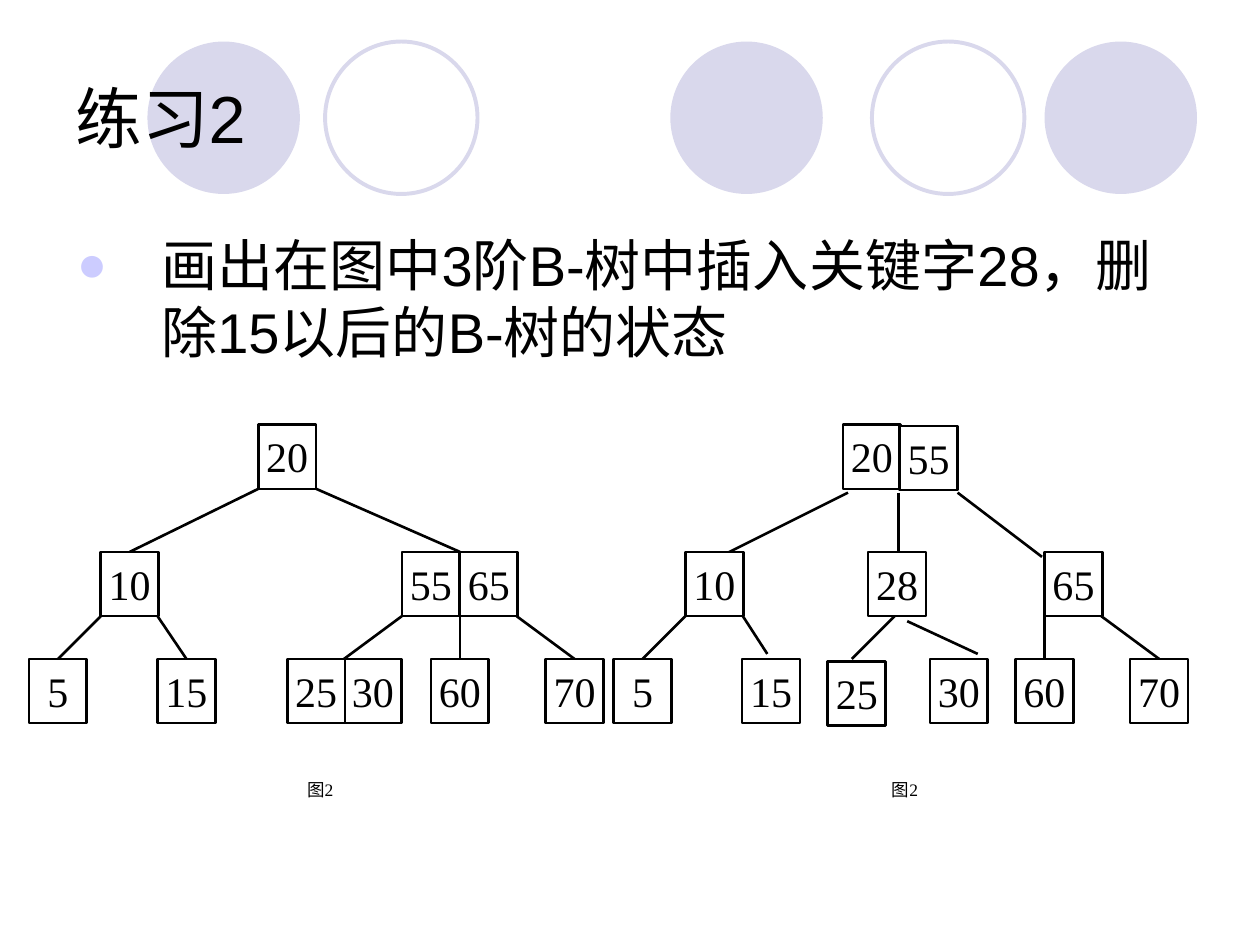
import dataclasses

import lxml.etree
import pptx
import pptx.dml.color
import pptx.enum.shapes
import pptx.enum.text
import pptx.oxml.ns
import pptx.util

Inches = pptx.util.Inches
ALIGN = pptx.enum.text.PP_ALIGN
ANCHOR = pptx.enum.text.MSO_ANCHOR
SHAPE = pptx.enum.shapes.MSO_SHAPE


@dataclasses.dataclass(frozen=True)
class Theme:
    """Colours, fonts and point sizes of the slide."""

    ink: str = "000000"
    paper: str = "FFFFFF"
    circle: str = "D9D8EC"
    bullet: str = "CCCCFF"
    heading_font: str = "Arial"
    figure_font: str = "Times New Roman"
    title_size: float = 38
    body_size: float = 32
    key_size: float = 24
    caption_size: float = 10
    edge_width: float = 1.5
    ring_width: float = 2.25


THEME = Theme()
KEY_WIDTH, KEY_HEIGHT = 0.46, 0.51
ROOT_TOP, MIDDLE_TOP, LEAF_TOP = 3.37, 4.38, 5.23
MIDDLE_BOTTOM = MIDDLE_TOP + KEY_HEIGHT
TREE_SHIFT = 4.64

CIRCLES = [(5.32, True), (8.29, True), (1.17, True), (6.92, False), (2.58, False)]
SHARED_KEYS = [
    ("20", 2.05, ROOT_TOP), ("10", 0.8, MIDDLE_TOP), ("65", 3.65, MIDDLE_TOP),
    ("5", 0.23, LEAF_TOP), ("15", 1.25, LEAF_TOP),
    ("60", 3.42, LEAF_TOP), ("70", 4.33, LEAF_TOP),
]
SHARED_EDGES = [
    (0.8, MIDDLE_BOTTOM, 0.46, LEAF_TOP),
    (3.65, MIDDLE_BOTTOM, 3.65, LEAF_TOP),
    (4.1, MIDDLE_BOTTOM, 4.56, LEAF_TOP),
]
BEFORE_KEYS = [
    ("55", 3.19, MIDDLE_TOP), ("30", 2.73, LEAF_TOP), ("25", 2.28, LEAF_TOP),
]
BEFORE_EDGES = [
    (2.05, 3.88, 1.03, MIDDLE_TOP), (2.51, 3.88, 3.65, MIDDLE_TOP),
    (1.25, MIDDLE_BOTTOM, 1.48, LEAF_TOP), (2.73, LEAF_TOP, 3.19, MIDDLE_BOTTOM),
]
AFTER_KEYS = [
    ("28", 6.89, MIDDLE_TOP), ("30", 7.38, LEAF_TOP),
    ("25", 6.57, 5.25), ("55", 7.14, 3.38),
]
AFTER_EDGES = [
    (6.73, 3.91, 5.71, 4.42), (7.6, 3.91, 8.27, 4.42), (5.87, 4.85, 6.09, 5.19),
    (7.1, MIDDLE_BOTTOM, 6.76, LEAF_TOP), (7.2, 4.93, 7.76, 5.19),
    (7.13, 3.91, 7.13, MIDDLE_TOP),
]


def colour(value):
    """Turn a hex string into a colour."""
    return pptx.dml.color.RGBColor.from_string(value)


def apply(target, values):
    """Set each named attribute on the target."""
    for name, value in values.items():
        setattr(target, name, value)


def write(frame, text, font, size, align=ALIGN.LEFT, **frame_values):
    """Fill a text frame with one formatted paragraph and return it."""
    apply(frame, {"word_wrap": True, "vertical_anchor": ANCHOR.TOP, **frame_values})
    para = frame.paragraphs[0]
    para.alignment = align
    span = para.add_run()
    span.text = text
    apply(span.font, {"name": font, "size": pptx.util.Pt(size)})
    span.font.color.rgb = colour(THEME.ink)
    return para


def place(shape, left, top, width, height):
    """Move and size a shape, in inches."""
    apply(shape, {"left": Inches(left), "top": Inches(top),
                  "width": Inches(width), "height": Inches(height)})


def add_box(shapes, kind, bounds, fill=None, line=None, width=THEME.edge_width):
    """Add a flat preset shape with optional fill and outline."""
    box = shapes.add_shape(kind, *map(Inches, bounds))
    box.shadow.inherit = False
    for paint, value in ((box.fill, fill), (box.line.fill, line)):
        if value:
            paint.solid()
            paint.fore_color.rgb = colour(value)
        else:
            paint.background()
    if line:
        box.line.width = pptx.util.Pt(width)
    return box


def add_edge(shapes, ends):
    """Add a plain line between two points."""
    edge = shapes.add_connector(
        pptx.enum.shapes.MSO_CONNECTOR.STRAIGHT, *map(Inches, ends))
    edge.line.color.rgb = colour(THEME.ink)
    edge.line.width = pptx.util.Pt(THEME.edge_width)
    lxml.etree.SubElement(edge.element.spPr, pptx.oxml.ns.qn("a:effectLst"))


def add_key(shapes, text, left, top):
    """Add one key cell of a tree node."""
    box = add_box(shapes, SHAPE.RECTANGLE, (left, top, KEY_WIDTH, KEY_HEIGHT),
                  THEME.paper, THEME.ink)
    write(box.text_frame, text, THEME.figure_font, THEME.key_size, ALIGN.CENTER,
          margin_left=0, margin_right=0)


def add_tree(shapes, keys, edges, shift):
    """Draw a tree from its own parts and the shifted shared parts."""
    shared_edges = [(x1 + shift, y1, x2 + shift, y2) for x1, y1, x2, y2 in SHARED_EDGES]
    for ends in edges + shared_edges:
        add_edge(shapes, ends)
    shared_keys = [(text, left + shift, top) for text, left, top in SHARED_KEYS]
    for key in shared_keys + keys:
        add_key(shapes, *key)
    caption = add_box(shapes, SHAPE.RECTANGLE, (2.34 + shift, 6.13, 0.78, 0.51),
                      THEME.paper)
    write(caption.text_frame, "图2", THEME.figure_font, THEME.caption_size)


def add_circles(slide):
    """Add the row of circles behind the title."""
    for left, filled in CIRCLES:
        circle = add_box(slide.shapes, SHAPE.OVAL, (left, 0.33, 1.21, 1.21),
                         fill=THEME.circle if filled else None,
                         line=None if filled else THEME.circle,
                         width=THEME.ring_width)
        slide.shapes.title.element.addprevious(circle.element)


def add_bullet(para):
    """Give a paragraph a hanging round bullet."""
    properties = para._p.get_or_add_pPr()
    properties.set("marL", str(Inches(0.67)))
    properties.set("indent", str(-Inches(0.67)))
    qn = pptx.oxml.ns.qn
    tint = lxml.etree.SubElement(properties, qn("a:buClr"))
    lxml.etree.SubElement(tint, qn("a:srgbClr"), val=THEME.bullet)
    lxml.etree.SubElement(properties, qn("a:buSzPct"), val="90000")
    lxml.etree.SubElement(properties, qn("a:buFont"), typeface=THEME.heading_font)
    lxml.etree.SubElement(properties, qn("a:buChar"), char="●")


def add_heading(slide):
    """Fill the title and body placeholders."""
    title, body = slide.shapes.title, slide.placeholders[1]
    fixed = pptx.enum.text.MSO_AUTO_SIZE.NONE
    place(title, 0.5, 0.3, 9, 1.25)
    write(title.text_frame, "练习2", THEME.heading_font, THEME.title_size,
          vertical_anchor=ANCHOR.MIDDLE, auto_size=fixed)
    place(body, 0.51, 1.78, 9, 4.95)
    para = write(body.text_frame, "画出在图中3阶B-树中插入关键字28，删除15以后的B-树的状态",
                 THEME.heading_font, THEME.body_size, auto_size=fixed)
    para.space_before = pptx.util.Pt(THEME.body_size * 0.2)
    add_bullet(para)


def main():
    """Build and save the slide."""
    deck = pptx.Presentation()
    apply(deck, {"slide_width": Inches(10), "slide_height": Inches(7.5)})
    page = deck.slides.add_slide(deck.slide_layouts[1])
    add_circles(page)
    add_heading(page)
    add_tree(page.shapes.add_group_shape().shapes, BEFORE_KEYS, BEFORE_EDGES, 0)
    add_tree(page.shapes, AFTER_KEYS, AFTER_EDGES, TREE_SHIFT)
    deck.save("out.pptx")


main()
